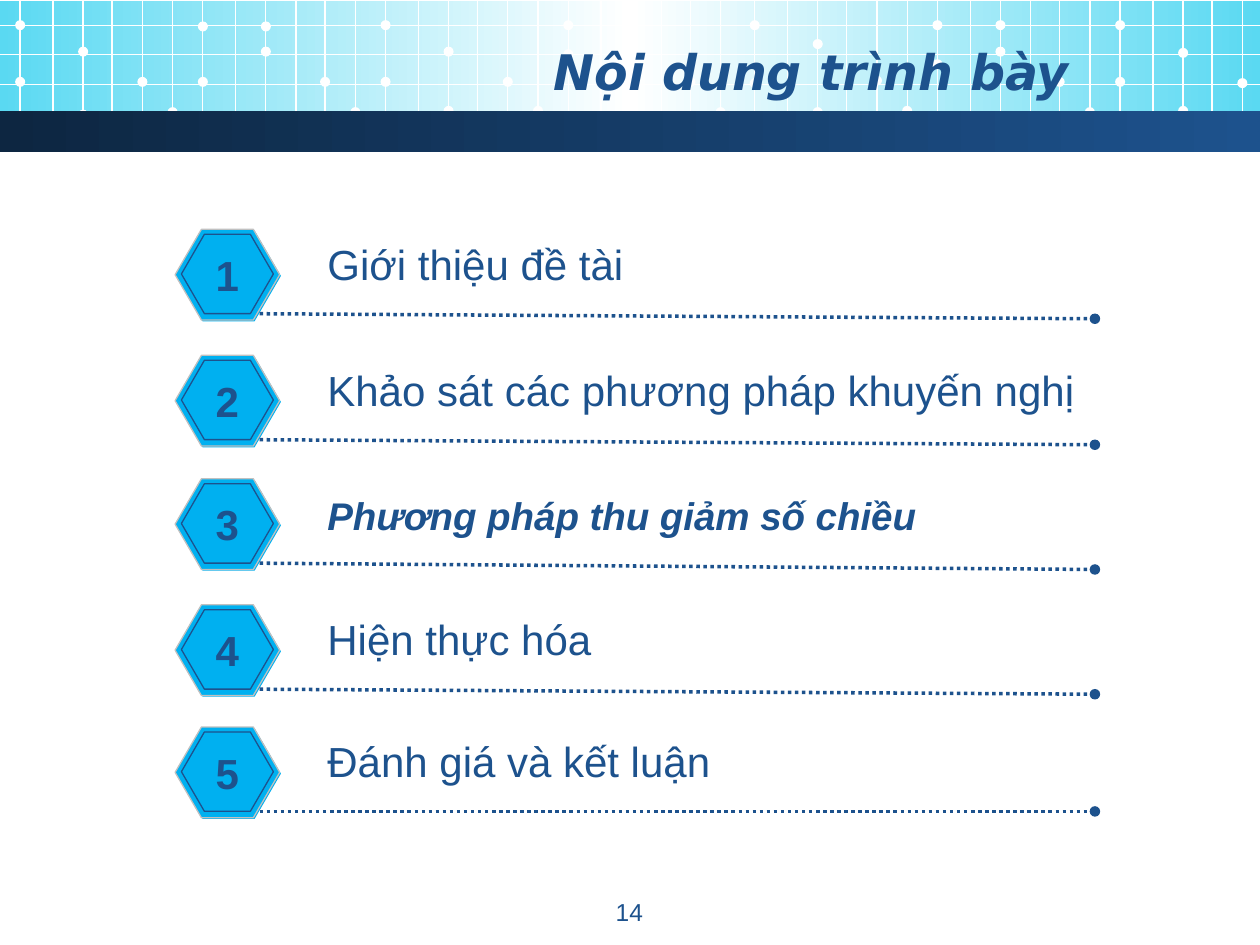
from lxml import etree
from pptx import Presentation
from pptx import util as u
from pptx.dml.color import RGBColor
from pptx.enum import dml, shapes, text
from pptx.oxml import ns

WHITE = RGBColor(0xFF, 0xFF, 0xFF)
AQUA = RGBColor(0x5A, 0xD9, 0xF2)
SKY = RGBColor(0x00, 0xB0, 0xF0)
SILVER = RGBColor(0xC0, 0xC0, 0xC0)
BLUE = RGBColor(0x1D, 0x52, 0x8D)
NAVY = RGBColor(0x0D, 0x26, 0x41)

COLUMNS, ROWS = 100, 75
LEFT, CENTER, RIGHT = text.PP_ALIGN.LEFT, text.PP_ALIGN.CENTER, text.PP_ALIGN.RIGHT

PANEL_STARTS = [1.6, 30.6, 59.9, 88.9]
MESH_OFFSETS = [0, 2.6, 5, 7.3, 9.7, 12.1, 14.5, 17.1, 19.5, 21.9, 24.2, 26.6]
MESH_ROWS = [2, 4.3, 6.7, 8.9]
DOT_COLUMNS = [0, 0, 2, 2, 4, 5, 6, 6, 8, 8, 10, 11]
DOT_ROWS = [
    [6.5, 2, 4.1, 9.1, 6.5, 8.9, 6.5, 2.1, 4.1, 2.1, 6.5, 8.9],
    [6.5, 2, 4.1, 8.8, 6.5, 8.8, 4.3, 2, 4.2, 2, 6.5, 8.9],
    [6.6, 2, 3.5, 8.9, 6.4, 8.8, 5.1, 2, 4.1, 2, 6.5, 8.9],
    [6.5, 2, 4.2, 8.8, 6.6],
]

AGENDA = [
    ("Giới thiệu đề tài", 18.2, 25.8, 25.3, False),
    ("Khảo sát các phương pháp khuyến nghị", 28.2, 61.9, 35.3, False),
    ("Phương pháp thu giảm số chiều", 38, 50.4, 45.2, True),
    ("Hiện thực hóa", 48, 23.2, 55.1, False),
    ("Đánh giá và kết luận", 57.7, 32.7, 64.4, False),
]


class SlideBuilder:
    body_font = "Arial"
    title_font = "DejaVu Sans"
    text_color = BLUE

    def __init__(self, presentation):
        self.cell_width = presentation.slide_width / COLUMNS
        self.cell_height = presentation.slide_height / ROWS
        self.slide = presentation.slides.add_slide(presentation.slide_layouts[5])

    def x(self, columns):
        return u.Emu(round(columns * self.cell_width))

    def y(self, rows):
        return u.Emu(round(rows * self.cell_height))

    def box(self, left, top, width, height):
        return self.x(left), self.y(top), self.x(width), self.y(height)

    def group(self):
        return self.slide.shapes.add_group_shape().shapes

    def shape(self, kind, box, fill=None, line=None, parent=None):
        shape = (parent or self.slide.shapes).add_shape(kind, *self.box(*box))
        shape.shadow.inherit = False
        if fill is not None:
            shape.fill.solid()
            shape.fill.fore_color.rgb = fill
        if line is None:
            shape.line.fill.background()
        else:
            shape.line.color.rgb = line
            shape.line.width = u.Pt(0.75)
        return shape

    def gradient_band(self, box, colors):
        band = self.shape(shapes.MSO_SHAPE.RECTANGLE, box)
        band.fill.gradient()
        band.fill.gradient_angle = 0
        stops = band.element.spPr.find(".//" + ns.qn("a:gsLst"))
        for stop in list(stops):
            stops.remove(stop)
        for index, color in enumerate(colors):
            position = str(100000 * index // (len(colors) - 1))
            stop = etree.SubElement(stops, ns.qn("a:gs"), pos=position)
            etree.SubElement(stop, ns.qn("a:srgbClr"), val=str(color))

    def line(self, start, end, color, width, parent=None, dotted=False):
        connector = (parent or self.slide.shapes).add_connector(
            shapes.MSO_CONNECTOR.STRAIGHT,
            self.x(start[0]), self.y(start[1]), self.x(end[0]), self.y(end[1]))
        connector.line.color.rgb = color
        connector.line.width = u.Pt(width)
        if dotted:
            connector.line.dash_style = dml.MSO_LINE.ROUND_DOT
            outline = connector.element.spPr.find(ns.qn("a:ln"))
            etree.SubElement(outline, ns.qn("a:tailEnd"), type="oval")
        etree.SubElement(connector.element.spPr, ns.qn("a:effectLst"))

    def add_words(self, frame, words, size, align, font, bold=False, italic=False):
        paragraph = frame.paragraphs[0]
        paragraph.alignment = align
        run = paragraph.add_run()
        run.text = words
        run.font.name = font
        run.font.size = u.Pt(size)
        run.font.bold = bold
        run.font.italic = italic
        run.font.color.rgb = self.text_color

    def label(self, words, box, size, align=LEFT, bold=False, italic=False):
        frame = self.slide.shapes.add_textbox(*self.box(*box)).text_frame
        frame.word_wrap = False
        frame.auto_size = text.MSO_AUTO_SIZE.SHAPE_TO_FIT_TEXT
        self.add_words(frame, words, size, align, self.body_font, bold, italic)

    def title(self, words, box):
        title = self.slide.shapes.title
        title.left, title.top, title.width, title.height = self.box(*box)
        title.text_frame.vertical_anchor = text.MSO_ANCHOR.MIDDLE
        self.add_words(title.text_frame, words, 28, RIGHT, self.title_font, True, True)
        title.element.getparent().append(title.element)

    def mesh(self):
        for start, dot_rows in zip(PANEL_STARTS, DOT_ROWS):
            panel = self.group()
            for offset in MESH_OFFSETS:
                column = start + offset
                if column < COLUMNS:
                    self.line((column, 0), (column, 11), WHITE, 0.75, panel)
            for index, row in zip(DOT_COLUMNS, dot_rows):
                column = start + MESH_OFFSETS[index]
                self.shape(shapes.MSO_SHAPE.OVAL, (column - 0.4, row - 0.4, 0.8, 0.8),
                           WHITE, parent=panel)
        rules = self.group()
        for row in MESH_ROWS:
            self.line((0, row), (COLUMNS, row), WHITE, 0.75, rules)

    def badge(self, top):
        badge = self.group()
        for box, line in [((14, top + 0.1, 8.3, 7.2), None),
                          ((13.9, top, 8.3, 7.2), SILVER),
                          ((14.4, top + 0.4, 7.3, 6.3), BLUE)]:
            hexagon = self.shape(shapes.MSO_SHAPE.HEXAGON, box, SKY, line, badge)
            hexagon.adjustments[0] = 0.29

    def agenda_item(self, number, words, top, width, line_end, current):
        self.badge(top)
        self.line((20.6, top + 6.7), (86.9, line_end), BLUE, 2, dotted=True)
        if current:
            self.label(words, (25, top + 0.6, width, 4.7), 22, bold=True, italic=True)
        else:
            self.label(words, (25, top + 0.2, width, 5), 24)
        self.label(str(number), (16.1, top + 1.1, 3.9, 5), 24, CENTER, bold=True)


def main():
    presentation = Presentation()
    presentation.slide_width = u.Inches(10)
    presentation.slide_height = u.Inches(7.5)
    builder = SlideBuilder(presentation)
    builder.gradient_band((0, 0.1, COLUMNS, 10.2), [AQUA, WHITE, AQUA])
    builder.mesh()
    builder.gradient_band((0, 8.8, COLUMNS, 3.3), [NAVY, BLUE])
    builder.title("Nội dung trình bày", (5, 2.5, 80.8, 6.2))
    for number, item in enumerate(AGENDA, start=1):
        builder.agenda_item(number, *item)
    builder.label("14", (38.3, 70.7, 23.3, 3.5), 14, CENTER)
    presentation.save("out.pptx")


if __name__ == "__main__":
    main()
